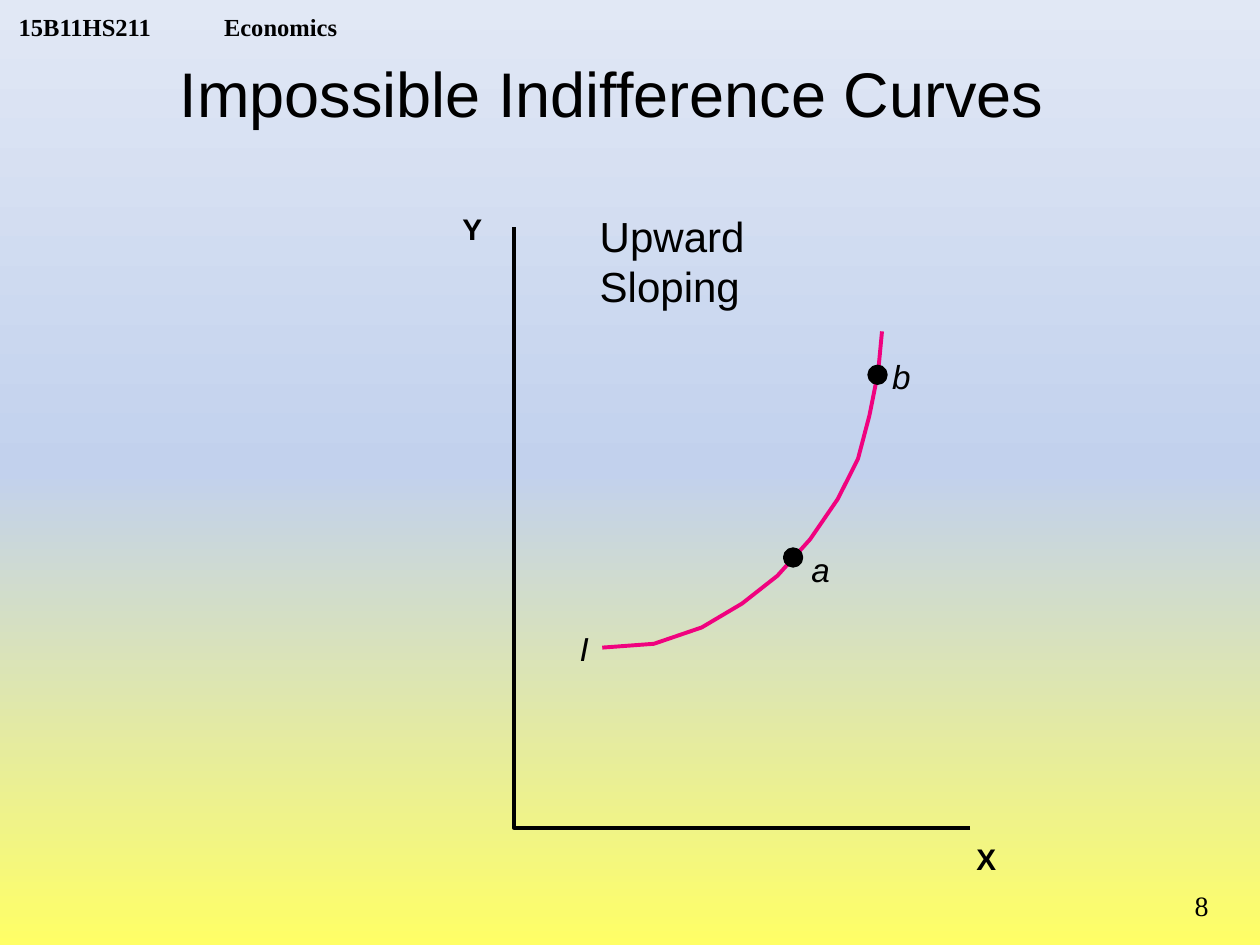
from copy import deepcopy

from lxml.etree import SubElement
from pptx import Presentation
from pptx.dml.color import RGBColor
from pptx.enum.shapes import MSO_SHAPE
from pptx.enum.text import MSO_ANCHOR, MSO_AUTO_SIZE, PP_ALIGN
from pptx.oxml.ns import qn
from pptx.util import Inches, Pt


def rgb(value):
    return RGBColor.from_string(value)


def write(tf, text, size, font="Arial", color="000000", bold=False,
          italic=False, align=PP_ALIGN.LEFT, tab=None):
    p = tf.paragraphs[0]
    p.alignment = align
    if tab:
        tabs = SubElement(p._p.get_or_add_pPr(), qn("a:tabLst"))
        SubElement(tabs, qn("a:tab"), pos=str(Inches(tab)), algn="l")
    r = p.add_run()
    r.text = text
    r.font.name = font
    r.font.size = Pt(size)
    r.font.bold = bold
    r.font.italic = italic
    r.font.color.rgb = rgb(color)


class Diagram:
    ink = "000000"
    curve = "F0027F"
    serif = "Times New Roman"
    line_width = 2.25
    dot_size = 0.13

    def __init__(self, slide):
        self.slide = slide

    def background(self, stops, angle):
        fill = self.slide.background.fill
        fill.gradient()
        fill.gradient_angle = angle
        first, last = fill.gradient_stops
        first._gs.addnext(deepcopy(first._gs))
        for stop, (position, color) in zip(fill.gradient_stops, stops):
            stop.position = position
            stop.color.rgb = rgb(color)

    def text(self, text, x, y, w, h, size, wrap=False, inset=(0, 0),
             anchor=MSO_ANCHOR.TOP, **style):
        tf = self.slide.shapes.add_textbox(
            Inches(x), Inches(y), Inches(w), Inches(h)).text_frame
        tf.word_wrap = wrap
        tf.auto_size = MSO_AUTO_SIZE.NONE if wrap else MSO_AUTO_SIZE.SHAPE_TO_FIT_TEXT
        tf.margin_left = tf.margin_right = Inches(inset[0])
        tf.margin_top = tf.margin_bottom = Inches(inset[1])
        tf.vertical_anchor = anchor
        write(tf, text, size, **style)

    def outline(self, sp, color):
        sp.shadow.inherit = False
        sp.line.color.rgb = rgb(color)
        sp.line.width = Pt(self.line_width)

    def polyline(self, points, color):
        start, *rest = [(Inches(x), Inches(y)) for x, y in points]
        builder = self.slide.shapes.build_freeform(*start)
        builder.add_line_segments(rest, close=False)
        sp = builder.convert_to_shape()
        sp.fill.background()
        self.outline(sp, color)

    def dot(self, x, y):
        size = Inches(self.dot_size)
        sp = self.slide.shapes.add_shape(
            MSO_SHAPE.OVAL, Inches(x), Inches(y), size, size)
        sp.fill.solid()
        sp.fill.fore_color.rgb = rgb(self.ink)
        self.outline(sp, self.ink)


def main():
    prs = Presentation()
    prs.slide_width, prs.slide_height = Inches(10), Inches(7.5)
    s = Diagram(prs.slides.add_slide(prs.slide_layouts[6]))
    s.background([(0, "FFFF66"), (0.5, "C2D1ED"), (1, "E1E8F5")], 90)

    # Course header and title
    s.text("15B11HS211\tEconomics", 0.05, 0, 3.2, 0.33, 14, wrap=True,
           inset=(0.1, 0), anchor=MSO_ANCHOR.BOTTOM, font=s.serif,
           bold=True, tab=1.63)
    s.text("Impossible Indifference Curves", 1.33, 0.38, 7.12, 0.71, 36,
           inset=(0.1, 0.05))

    # Indifference curve and axes
    s.polyline([(4.78, 5.14), (5.19, 5.11), (5.57, 4.98), (5.89, 4.79),
                (6.17, 4.57), (6.43, 4.28), (6.65, 3.96), (6.81, 3.64),
                (6.9, 3.3), (6.97, 2.95), (7, 2.63)], s.curve)
    s.polyline([(7.7, 6.57), (4.08, 6.57), (4.08, 1.8)], s.ink)

    # Points on the curve
    for x, y in [(6.9, 2.91), (6.23, 4.36)]:
        s.dot(x, y)

    # Chart heading and labels
    s.text("Upward Sloping", 4.76, 1.67, 2.35, 0.4, 24)
    for label, x, y, w in [("I", 4.6, 4.99, 0.13), ("a", 6.44, 4.36, 0.22),
                           ("b", 7.08, 2.83, 0.22)]:
        s.text(label, x, y, w, 0.25, 19, italic=True)
    for label, x, y in [("Y", 3.67, 1.67), ("X", 7.75, 6.67)]:
        s.text(label, x, y, 0.16, 0.29, 17, bold=True)

    # Page number
    s.text("8", 8.92, 7, 0.77, 0.4, 16, wrap=True, inset=(0.1, 0.05),
           font=s.serif, align=PP_ALIGN.RIGHT)

    prs.save("out.pptx")


if __name__ == "__main__":
    main()
